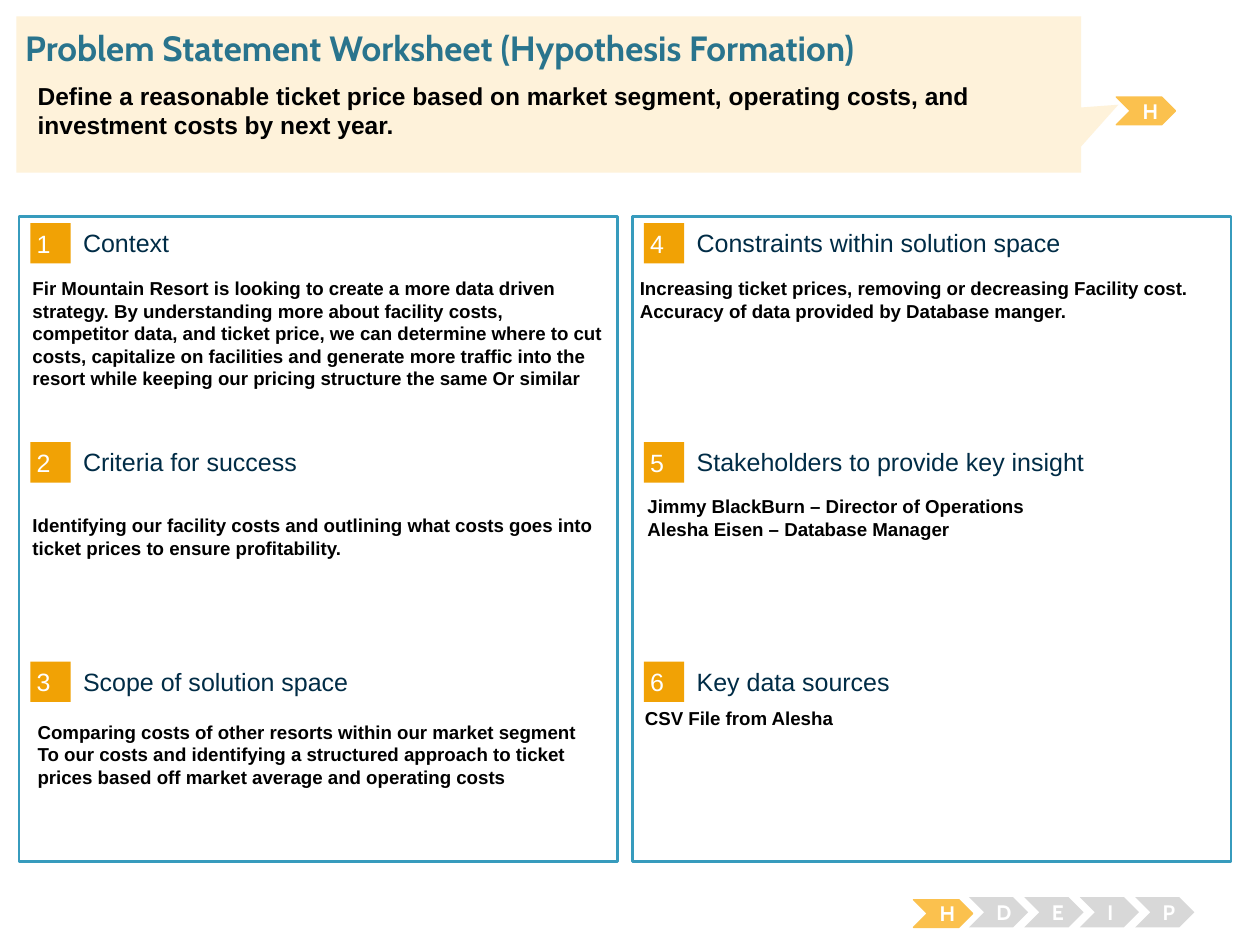
"""Build the problem statement worksheet slide."""
import pptx
import pptx.util
import pptx.dml.color
import pptx.enum.shapes
import pptx.enum.text

Inches = pptx.util.Inches
SHAPES = pptx.enum.shapes.MSO_SHAPE
ANCHOR = pptx.enum.text.MSO_ANCHOR
ALIGN = pptx.enum.text.PP_ALIGN

TITLE = "Problem Statement Worksheet (Hypothesis Formation)"
PROBLEM = ("Define a reasonable ticket price based on market segment, operating costs, "
           "and investment costs by next year.")
SECTIONS = [
    ("Context", (0.16, 2.15, 4.73, 1.64), [
        "Fir Mountain Resort is looking to create a more data driven strategy. "
        "By understanding more about facility costs, competitor data, and ticket price, "
        "we can determine where to cut costs, capitalize on facilities and generate more "
        "traffic into the resort while keeping our pricing structure the same Or similar"]),
    ("Criteria for success", (0.16, 4.03, 4.73, 1.38), [
        "Identifying our facility costs and outlining what costs goes into ticket prices "
        "to ensure profitability."]),
    ("Scope of solution space", (0.2, 5.67, 4.73, 1.24), [
        "Comparing costs of other resorts within our market segment",
        "To our costs and identifying a structured approach to ticket prices based off "
        "market average and operating costs"]),
    ("Constraints within solution space", (4.98, 2.15, 4.73, 1.18), [
        "Increasing ticket prices, removing or decreasing Facility cost.",
        "Accuracy of data provided by Database manger."]),
    ("Stakeholders to provide key insight", (5.04, 3.88, 4.73, 1.18), [
        "Jimmy BlackBurn – Director of Operations",
        "Alesha Eisen – Database Manager"]),
    ("Key data sources", (5.02, 5.56, 4.73, 1.18), ["CSV File from Alesha"]),
]
STAGES = "HDEIP"
CURRENT_STAGE = "H"

THEME = {
    "heading_font": "Cabin", "body_font": "Arial",
    "title": "29748D", "heading": "002C46", "text": "000000", "white": "FFFFFF",
    "border": "379BBD", "number": "F1A205", "callout": "FEF2DA",
    "active": "FBC14E", "idle": "D8D8D8",
    "title_size": 20, "problem_size": 14, "heading_size": 14.3,
    "body_size": 10.7, "stage_size": 12,
}
ROWS = 3
COLUMN_STEP, ROW_STEP, STAGE_STEP = 4.87, 1.74, 0.44
TEXT_INSETS = (0.1, 0.05, 0.1, 0.05)


def colour(name):
    return pptx.dml.color.RGBColor.from_string(THEME[name])


def write(shape, lines, size, ink, font="body_font", bold=False, insets=TEXT_INSETS,
          anchor=ANCHOR.TOP, align=ALIGN.LEFT):
    frame = shape.text_frame
    frame.text = "\n".join(lines)
    frame.word_wrap = True
    frame.vertical_anchor = anchor
    frame.margin_left, frame.margin_top, frame.margin_right, frame.margin_bottom = map(Inches, insets)
    for paragraph in frame.paragraphs:
        paragraph.alignment = align
        for run in paragraph.runs:
            run.font.name = THEME[font]
            run.font.size = pptx.util.Pt(THEME[size])
            run.font.bold = bold
            run.font.color.rgb = colour(ink)


def add_block(slide, kind, box, fill, line=None, width=0.75):
    block = slide.shapes.add_shape(kind, *map(Inches, box))
    block.shadow.inherit = False
    block.fill.solid()
    block.fill.fore_color.rgb = colour(fill)
    if line:
        block.line.color.rgb = colour(line)
        block.line.width = pptx.util.Pt(width)
    else:
        block.line.fill.background()
    return block


def add_text(slide, box, lines, size, ink, **style):
    write(slide.shapes.add_textbox(*map(Inches, box)), lines, size, ink, **style)


def add_stage(slide, left, top, letter):
    if letter == CURRENT_STAGE:
        stage = add_block(slide, SHAPES.CHEVRON, (left, top + 0.02, 0.47, 0.22), "active", "active")
    else:
        stage = add_block(slide, SHAPES.CHEVRON, (left, top, 0.47, 0.24), "idle")
    write(stage, [letter], "stage_size", "white", font="heading_font", bold=True,
          anchor=ANCHOR.MIDDLE, align=ALIGN.CENTER)


def add_section(slide, index, heading, body_box, body):
    column, row = divmod(index, ROWS)
    dx, dy = column * COLUMN_STEP, row * ROW_STEP
    number = add_block(slide, SHAPES.RECTANGLE, (0.24 + dx, 1.77 + dy, 0.32, 0.32), "number")
    write(number, [str(index + 1)], "heading_size", "white", insets=(0.05,) * 4,
          anchor=ANCHOR.MIDDLE)
    add_text(slide, (0.66 + dx, 1.8 + dy, 3.93, 0.25), [heading], "heading_size", "heading",
             insets=(0,) * 4, anchor=ANCHOR.MIDDLE)
    add_text(slide, body_box, body, "body_size", "text", bold=True)


def add_header(slide):
    callout = add_block(slide, SHAPES.RECTANGULAR_CALLOUT, (0.13, 0.13, 8.45, 1.24), "callout")
    callout.adjustments[0], callout.adjustments[1] = 0.535, 0.066
    title = slide.shapes.title
    title.left, title.top, title.width, title.height = map(Inches, (0.2, 0.21, 9.62, 0.34))
    write(title, [TITLE], "title_size", "title", font="heading_font", bold=True,
          insets=(0,) * 4, anchor=ANCHOR.MIDDLE)
    callout._element.addnext(title._element)
    add_text(slide, (0.2, 0.59, 7.82, 0.73), [PROBLEM], "problem_size", "text", bold=True)


def main():
    deck = pptx.Presentation()
    deck.slide_width, deck.slide_height = Inches(10), Inches(7.5)
    slide = deck.slides.add_slide(deck.slide_layouts[5])
    for column in range(len(SECTIONS) // ROWS):
        add_block(slide, SHAPES.RECTANGLE, (0.15 + column * COLUMN_STEP, 1.72, 4.75, 5.12),
                  "white", "border", 1.5)
    for index, section in enumerate(SECTIONS):
        add_section(slide, index, *section)
    for index, letter in enumerate(STAGES):
        add_stage(slide, 7.25 + index * STAGE_STEP, 7.12, letter)
    add_stage(slide, 8.86, 0.75, CURRENT_STAGE)
    add_header(slide)
    deck.save("out.pptx")


if __name__ == "__main__":
    main()
